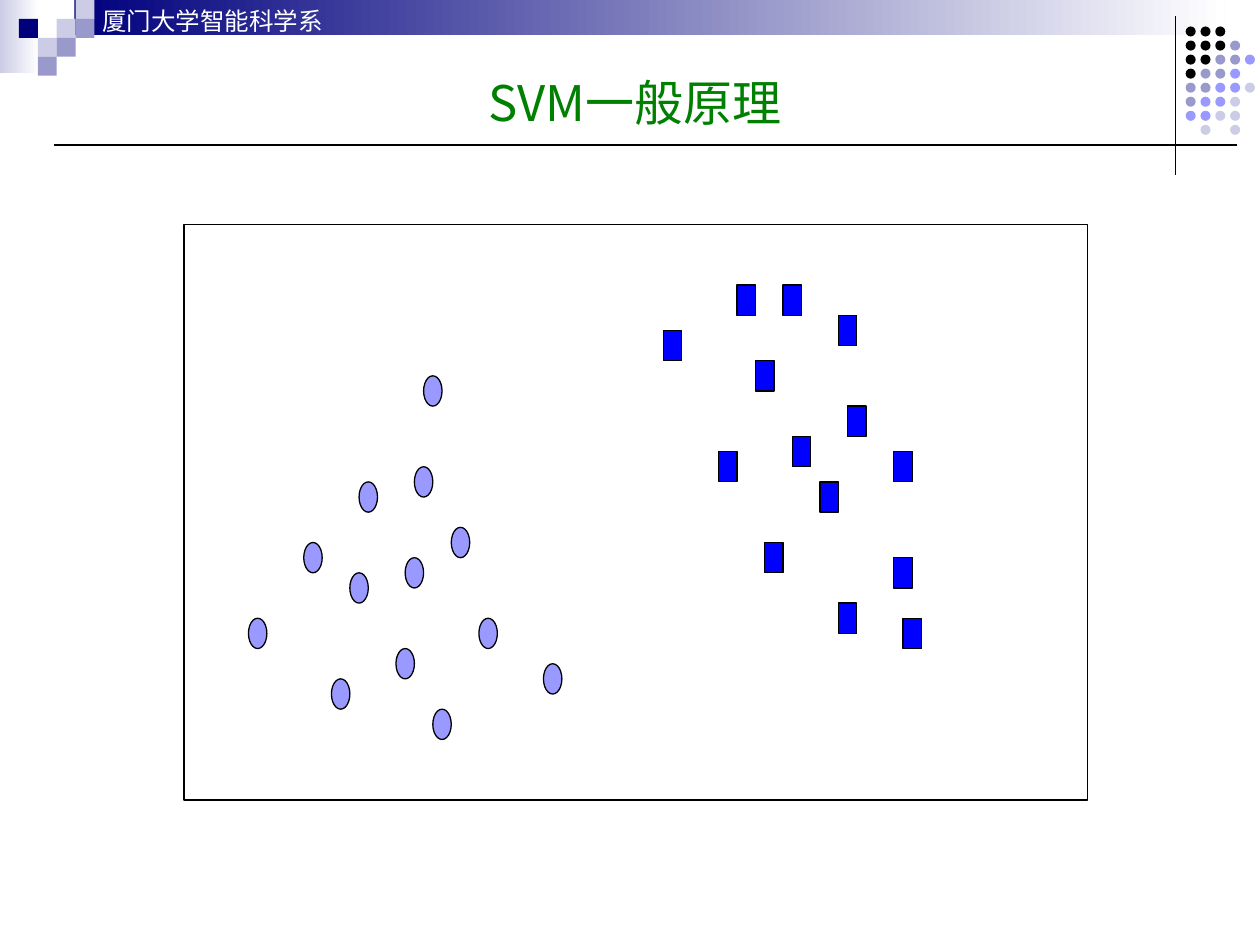
from lxml import etree
from pptx import Presentation
from pptx.dml.color import RGBColor
from pptx.enum.shapes import MSO_CONNECTOR, MSO_SHAPE
from pptx.enum.text import MSO_ANCHOR, MSO_AUTO_SIZE, PP_ALIGN
from pptx.oxml.ns import qn
from pptx.util import Inches, Pt

RECT, OVAL = MSO_SHAPE.RECTANGLE, MSO_SHAPE.OVAL
STRAIGHT = MSO_CONNECTOR.STRAIGHT
LEFT, CENTER = PP_ALIGN.LEFT, PP_ALIGN.CENTER
TOP, BOTTOM = MSO_ANCHOR.TOP, MSO_ANCHOR.BOTTOM

FONT = "Noto Sans CJK JP"
BLACK = RGBColor(0x00, 0x00, 0x00)
WHITE = RGBColor(0xFF, 0xFF, 0xFF)
NAVY = RGBColor(0x00, 0x00, 0x7D)
PALE = RGBColor(0xCC, 0xCC, 0xE6)
SLATE = RGBColor(0x99, 0x99, 0xCC)
LILAC = RGBColor(0x99, 0x99, 0xFF)
BLUE = RGBColor(0x00, 0x00, 0xFF)
GREEN = RGBColor(0x00, 0x80, 0x00)

prs = Presentation()
prs.slide_width, prs.slide_height = Inches(10), Inches(7.5)
slide = prs.slides.add_slide(prs.slide_layouts[5])
title = slide.shapes.title


def add_block(kind, left, top, width, height, fill=None, fade=False, outline=None):
    """Add a shape, measured in inches; fade runs the fill to white, left to right."""
    block = slide.shapes.add_shape(
        kind, Inches(left), Inches(top), Inches(width), Inches(height))
    block.shadow.inherit = False
    if fade:
        block.fill.gradient()
        block.fill.gradient_angle = 0
        for stop, color in zip(block.fill.gradient_stops, (fill, WHITE)):
            stop.color.rgb = color
    elif fill is not None:
        block.fill.solid()
        block.fill.fore_color.rgb = fill
    else:
        block.fill.background()
    if outline is not None:
        block.line.color.rgb = outline
        block.line.width = Pt(0.75)
    else:
        block.line.fill.background()


def write(holder, text, size, color, align=LEFT, anchor=TOP, inset=0.1):
    frame = holder.text_frame
    frame.word_wrap = True
    frame.auto_size = MSO_AUTO_SIZE.NONE
    frame.vertical_anchor = anchor
    frame.margin_left, frame.margin_right = Inches(inset), Inches(0.1)
    frame.margin_top = frame.margin_bottom = Inches(0.05)
    paragraph = frame.paragraphs[0]
    paragraph.alignment = align
    run = paragraph.add_run()
    run.text = text
    run.font.size = Pt(size)
    run.font.color.rgb = color
    run.font.name = FONT
    etree.SubElement(run.font._element, qn("a:ea"), typeface=FONT)


# Header band and its mosaic of square tiles
add_block(RECT, 0, 0, 0.31, 0.58, fill=PALE, fade=True)
add_block(RECT, 0.59, 0, 9.13, 0.28, fill=NAVY, fade=True)
TILE = 0.15
tiles = [(3, 1, PALE), (4, 0, PALE), (4, 1, SLATE), (2, 2, PALE),
         (1, 1, NAVY), (3, 2, SLATE), (2, 3, SLATE)]
for column, row, color in tiles:
    add_block(RECT, column * TILE, row * TILE, TILE, TILE, fill=color)

department = slide.shapes.add_textbox(Inches(0.67), 0, Inches(8.51), Inches(0.34))
write(department, "厦门大学智能科学系", 14, WHITE, inset=0.14)

# Dot matrix, one letter per dot
DOT_COLORS = {"K": BLACK, "S": SLATE, "L": LILAC, "P": PALE}
dot_rows = ["KKK", "KKKS", "KKSSL", "KSSL", "SSLLP", "SLLP", "LLPP", " P P"]
for row, letters in enumerate(dot_rows):
    for column, letter in enumerate(letters):
        if letter in DOT_COLORS:
            add_block(OVAL, 9.41 + column * 0.1175, 0.21 + row * 0.1115,
                      0.08, 0.08, fill=DOT_COLORS[letter])

# Rules crossing at the upper right: start, end, weight
rules = [((9.33, 0.13), (9.33, 1.39), 0.75), ((9.82, 1.15), (0.43, 1.15), 1)]
for start, end, weight in rules:
    rule = slide.shapes.add_connector(
        STRAIGHT, *(Inches(length) for length in start + end))
    rule.line.color.rgb = BLACK
    rule.line.width = Pt(weight)
    etree.SubElement(rule._element.spPr, qn("a:effectLst"))

title.left, title.top = Inches(0.33), Inches(0.42)
title.width, title.height = Inches(9.42), Inches(0.67)
write(title, "SVM一般原理", 28, GREEN, align=CENTER, anchor=BOTTOM)

# Two separable classes, placed by column and row on a 98 x 38 grid
PLOT_LEFT, PLOT_TOP, PLOT_WIDTH, PLOT_HEIGHT = 1.46, 1.78, 7.17, 4.57
CELL_W, CELL_H = PLOT_WIDTH / 98, PLOT_HEIGHT / 38
round_class = [(16, 30), (18, 23), (7, 26), (13, 21), (23, 28), (19, 17), (24, 22),
               (25, 16), (29, 20), (32, 26), (27, 32), (39, 29), (26, 10)]
square_class = [(58, 15), (52, 7), (60, 4), (63, 21), (62, 9), (66, 14), (65, 4),
                (71, 6), (69, 17), (72, 12), (71, 25), (77, 15), (77, 22), (78, 26)]
for kind, color, points in ((OVAL, LILAC, round_class), (RECT, BLUE, square_class)):
    for column, row in points:
        add_block(kind, PLOT_LEFT + column * CELL_W, PLOT_TOP + row * CELL_H,
                  2 * CELL_W, 2 * CELL_H, fill=color, outline=BLACK)
add_block(RECT, PLOT_LEFT, PLOT_TOP, PLOT_WIDTH, PLOT_HEIGHT, outline=BLACK)

prs.save("out.pptx")
